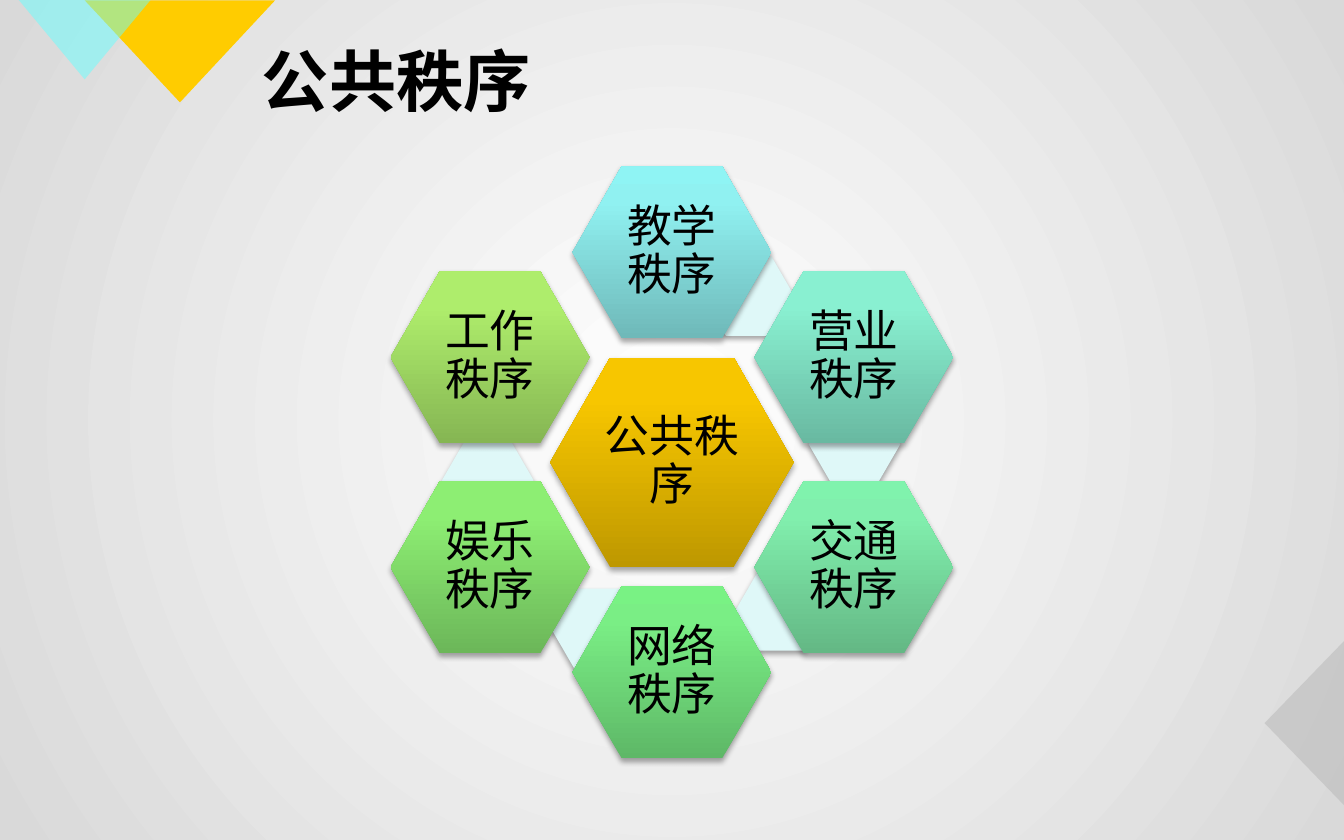
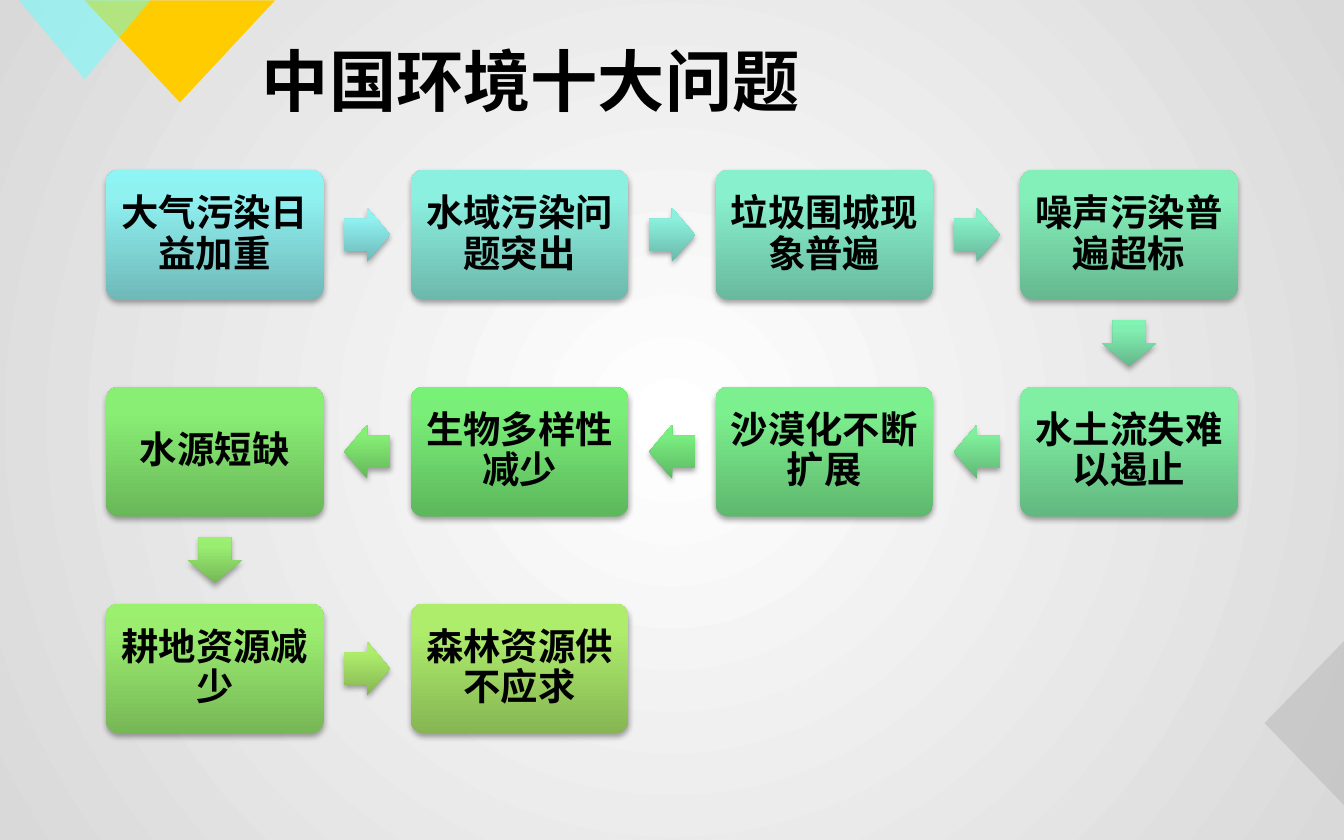
from dataclasses import dataclass
from itertools import pairwise
from math import cos, radians, sin

from lxml.etree import SubElement
from pptx import Presentation
from pptx.dml.color import RGBColor
from pptx.enum.shapes import MSO_SHAPE as Preset
from pptx.enum.text import MSO_ANCHOR as Anchor, PP_ALIGN as Align
from pptx.oxml.ns import qn
from pptx.util import Cm, Pt

BODY_FONT = "Cabin"
TITLE_FONT = "Noto Sans CJK SC"
BLACK = "000000"
LINK_COLOR = "DFF8F8"
BACKGROUND = ("FFFFFF", "D9D9D9")


@dataclass(frozen=True)
class Box:
    """A frame in centimetres, placed by its centre."""
    x: float
    y: float
    width: float
    height: float
    rotation: int = 0


@dataclass(frozen=True)
class Corner:
    box: Box
    color: str
    opacity: int = 100


@dataclass(frozen=True)
class Item:
    text: str
    colors: tuple[str, str, str]


CORNERS = [
    Corner(Box(3.4, 0.97, 3.6, 1.93, 180), "FFCC00"),
    Corner(Box(1.6, 0.75, 2.49, 1.5, 180), "66FFFF", 50),
    Corner(Box(24.65, 13.67, 3.1, 1.5, 270), "B7B7B7", 50),
]

HUB = Item("公共秩序", ("BE9800", "F7C600", "F8C700"))
HUB_X, HUB_Y, RING_RADIUS = 12.7, 8.74, 3.97
RING = [
    Item("教学秩序", ("6FB9B9", "90F1F1", "8FF4F4")),
    Item("营业秩序", ("69B9A1", "89F0D1", "87F3D3")),
    Item("交通秩序", ("64B885", "81EFAD", "80F3AD")),
    Item("网络秩序", ("5EB867", "7AEE85", "79F284")),
    Item("娱乐秩序", ("6CB759", "8DEE73", "8CF171")),
    Item("工作秩序", ("86B653", "AEED6C", "AFF06A")),
]
LINK_OFFSETS = [(1.45, -3.14), (3.45, -0.34), (2.06, 2.81), (-1.42, 3.14), (-3.48, 0.34)]

COLUMNS = 4
FIRST_X, FIRST_Y = 4.06, 4.44
STEP_X, STEP_Y = 5.76, 4.1
PROBLEMS = [
    Item("大气污染日益加重", ("6FB9B9", "90F1F1", "8FF4F4")),
    Item("水域污染问题突出", ("6CB9AC", "8CF0E0", "8BF3E2")),
    Item("垃圾围城现象普遍", ("69B99E", "88F0CD", "86F3CF")),
    Item("噪声污染普遍超标", ("66B88F", "84F0B9", "82F3BA")),
    Item("水土流失难以遏止", ("62B87F", "80EFA4", "7EF2A5")),
    Item("沙漠化不断扩展", ("5FB86E", "7CEF8E", "7AF28E")),
    Item("生物多样性减少", ("5DB75C", "79EE78", "77F276")),
    Item("水源短缺", ("6AB759", "89EE74", "88F172")),
    Item("耕地资源减少", ("77B756", "9BED70", "9BF16E")),
    Item("森林资源供不应求", ("86B653", "AEED6C", "AFF06A")),
]
ARROW_COLORS = [
    ("6FB9B9", "90F1F1", "8FF4F4"),
    ("6BB9AA", "8BF0DD", "8AF3E0"),
    ("68B99A", "87F0C8", "85F3CA"),
    ("64B889", "82EFB2", "81F3B2"),
    ("61B876", "7EEF9A", "7CF299"),
    ("5EB863", "79EE80", "78F27F"),
    ("66B75A", "85EE75", "84F173"),
    ("76B757", "99ED71", "99F16F"),
    ("86B653", "AEED6C", "AFF06A"),
]


def rgb(color: str) -> RGBColor:
    return RGBColor.from_string(color)


def add_color(parent, color: str, opacity: int = 100) -> None:
    element = SubElement(parent, qn("a:srgbClr"), val=color)
    if opacity < 100:
        SubElement(element, qn("a:alpha"), val=str(opacity * 1000))


def reset_gradient(fill, properties, stops: list[tuple[int, str]]):
    """Fill with the given stops and return the gradient, its direction still unset."""
    fill.gradient()
    gradient = properties.find(qn("a:gradFill"))
    for child in list(gradient):
        gradient.remove(child)
    gradient.set("rotWithShape", "0")
    stop_list = SubElement(gradient, qn("a:gsLst"))
    for position, color in stops:
        add_color(SubElement(stop_list, qn("a:gs"), pos=str(position * 1000)), color)
    return gradient


def add_preset(slide, preset: Preset, box: Box, adjustments: tuple[float, ...] = ()):
    shape = slide.shapes.add_shape(
        preset, Cm(box.x - box.width / 2), Cm(box.y - box.height / 2),
        Cm(box.width), Cm(box.height))
    shape.rotation = box.rotation
    shape.shadow.inherit = False
    shape.line.fill.background()
    for index, value in enumerate(adjustments):
        shape.adjustments[index] = value
    return shape


def fill_solid(shape, color: str, opacity: int = 100) -> None:
    shape.fill.solid()
    shape.fill.fore_color.rgb = rgb(color)
    if opacity < 100:
        element = shape._element.spPr.find(qn("a:solidFill")).find(qn("a:srgbClr"))
        SubElement(element, qn("a:alpha"), val=str(opacity * 1000))


def fill_shaded(shape, colors: tuple[str, str, str]) -> None:
    gradient = reset_gradient(shape.fill, shape._element.spPr, list(zip((0, 80, 100), colors)))
    SubElement(gradient, qn("a:lin"), ang="16200000", scaled="0")


def add_shadow(shape) -> None:
    effects = shape._element.spPr.find(qn("a:effectLst"))
    shadow = SubElement(effects, qn("a:outerShdw"), blurRad=str(Pt(3.1)), dist=str(Pt(1.8)),
                        dir="5400000", rotWithShape="0")
    add_color(shadow, BLACK, 35)


def write(shape, text: str, size: int, font_name: str, bold: bool) -> None:
    frame = shape.text_frame
    frame.word_wrap = True
    frame.vertical_anchor = Anchor.MIDDLE
    paragraph = frame.paragraphs[0]
    paragraph.text = text
    font = paragraph.font
    font.size, font.bold, font.name = Pt(size), bold, font_name
    font.color.rgb = rgb(BLACK)
    defaults = paragraph._p.pPr.find(qn("a:defRPr"))
    SubElement(defaults, qn("a:ea"), typeface=TITLE_FONT)


def write_label(shape, text: str, size: int, inset: float, bold: bool = False) -> None:
    write(shape, text, size, BODY_FONT, bold)
    frame = shape.text_frame
    frame.margin_left = frame.margin_right = Cm(inset)
    frame.margin_top = frame.margin_bottom = Cm(inset)
    frame.paragraphs[0].alignment = Align.CENTER
    frame.paragraphs[0].line_spacing = 0.9


def add_titled_slide(presentation, title: str):
    slide = presentation.slides.add_slide(presentation.slide_layouts[6])
    fill = slide.background.fill
    gradient = reset_gradient(fill, slide._element.cSld.bg.bgPr, list(zip((0, 100), BACKGROUND)))
    circle = SubElement(gradient, qn("a:path"), path="circle")
    SubElement(circle, qn("a:fillToRect"), l="50000", t="50000", r="50000", b="50000")
    for corner in CORNERS:
        triangle = add_preset(slide, Preset.ISOSCELES_TRIANGLE, corner.box)
        fill_solid(triangle, corner.color, corner.opacity)
    write(slide.shapes.add_textbox(Cm(4.7), Cm(0.76), Cm(18.26), Cm(1.5)),
          title, 36, TITLE_FONT, True)
    return slide


def add_hexagon(slide, item: Item, box: Box) -> None:
    hexagon = add_preset(slide, Preset.HEXAGON, box, (0.286,))
    fill_shaded(hexagon, item.colors)
    add_shadow(hexagon)
    write_label(hexagon, item.text, 24, 0.08)


def add_link(slide, offset: tuple[float, float]) -> None:
    box = Box(HUB_X + offset[0], HUB_Y + offset[1], 1.73, 1.5)
    link = add_preset(slide, Preset.HEXAGON, box, (0.289,))
    fill_solid(link, LINK_COLOR)
    add_shadow(link)


def build_order_slide(presentation) -> None:
    slide = add_titled_slide(presentation, "公共秩序")
    add_hexagon(slide, HUB, Box(HUB_X, HUB_Y, 4.6, 3.96))
    for index, item in enumerate(RING):
        if index < len(LINK_OFFSETS):
            add_link(slide, LINK_OFFSETS[index])
        angle = radians(index * 360 / len(RING))
        add_hexagon(slide, item, Box(HUB_X + RING_RADIUS * sin(angle),
                                     HUB_Y - RING_RADIUS * cos(angle), 3.76, 3.25))


def snake_box(index: int) -> Box:
    """Place a card on a grid whose rows run right and left in turn."""
    row, column = divmod(index, COLUMNS)
    if row % 2:
        column = COLUMNS - 1 - column
    return Box(FIRST_X + column * STEP_X, FIRST_Y + row * STEP_Y, 4.11, 2.46)


def arrow_box(start: Box, end: Box) -> Box:
    if start.y != end.y:
        rotation = 90
    else:
        rotation = 0 if end.x > start.x else 180
    return Box((start.x + end.x) / 2, (start.y + end.y) / 2, 0.87, 1.02, rotation)


def build_problems_slide(presentation) -> None:
    slide = add_titled_slide(presentation, "中国环境十大问题")
    boxes = [snake_box(index) for index in range(len(PROBLEMS))]
    for item, box in zip(PROBLEMS, boxes):
        card = add_preset(slide, Preset.ROUNDED_RECTANGLE, box, (0.1,))
        fill_shaded(card, item.colors)
        add_shadow(card)
        write_label(card, item.text, 20, 0.2, bold=True)
    for (start, end), colors in zip(pairwise(boxes), ARROW_COLORS):
        arrow = add_preset(slide, Preset.RIGHT_ARROW, arrow_box(start, end), (0.6, 0.5))
        fill_shaded(arrow, colors)
        add_shadow(arrow)


def main() -> None:
    presentation = Presentation()
    presentation.slide_width, presentation.slide_height = Cm(25.4), Cm(15.88)
    build_order_slide(presentation)
    build_problems_slide(presentation)
    presentation.save("out.pptx")


if __name__ == "__main__":
    main()
